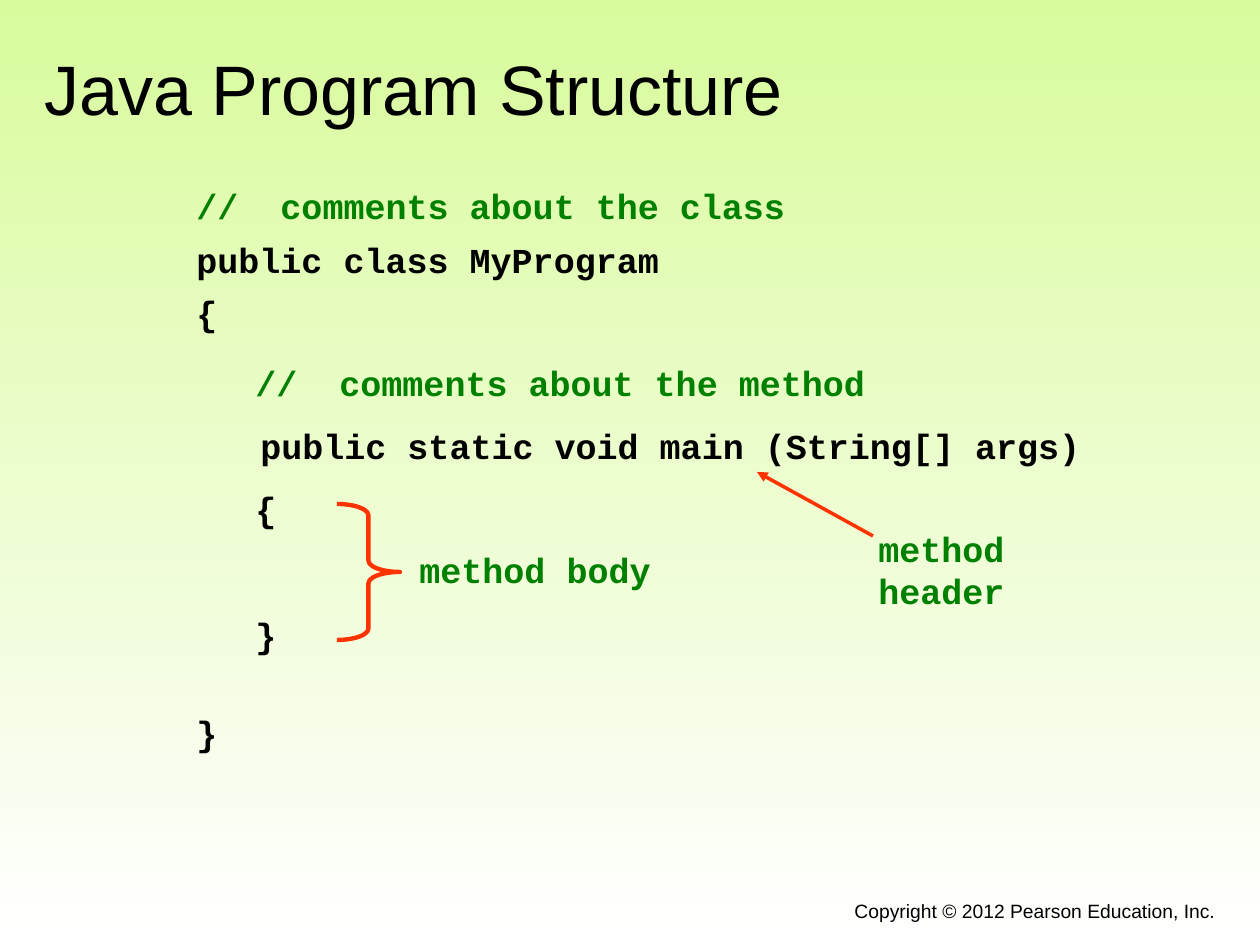
from dataclasses import dataclass

from lxml.etree import SubElement
from pptx import Presentation
from pptx.dml.color import RGBColor
from pptx.enum.shapes import MSO_CONNECTOR, MSO_SHAPE
from pptx.enum.text import MSO_ANCHOR, PP_ALIGN
from pptx.oxml.ns import qn
from pptx.util import Emu, Pt

EMU_PER_PX = 914400 // 126


def px(length: int) -> Emu:
    return Emu(length * EMU_PER_PX)


@dataclass(frozen=True)
class Theme:
    background_top: str = "D9FB9D"
    background_bottom: str = "FFFFFF"
    ink: str = "000000"
    comment: str = "008000"
    marker: str = "FF3300"
    text_font: str = "Arial"
    code_font: str = "Courier New"
    title_size: int = 40
    code_size: int = 20
    footer_size: int = 11
    brace_width: float = 2.5
    arrow_width: float = 2


THEME = Theme()


@dataclass(frozen=True)
class CodeLine:
    text: str
    left: int
    top: int
    color: str = THEME.ink


CLASS_LEFT = 184
METHOD_LEFT = 243
CODE_HEIGHT = 55
CHARACTER_WIDTH = 21
CODE_PADDING = 38
CODE_LINES = (
    CodeLine("//  comments about the class", CLASS_LEFT, 178, THEME.comment),
    CodeLine("public class MyProgram", CLASS_LEFT, 232),
    CodeLine("{", CLASS_LEFT, 285),
    CodeLine("//  comments about the method", METHOD_LEFT, 355, THEME.comment),
    CodeLine("public static void main (String[] args)", 248, 418),
    CodeLine("{", METHOD_LEFT, 481),
    CodeLine("}", METHOD_LEFT, 607),
    CodeLine("}", CLASS_LEFT, 705),
    CodeLine("method body", 407, 542, THEME.comment),
)


def add_text(slide, text: str, left: int, top: int, width: int, height: int, *,
             font: str = THEME.code_font, size: int = THEME.code_size,
             color: str = THEME.ink, bold: bool = False,
             align=PP_ALIGN.LEFT, anchor=MSO_ANCHOR.TOP) -> None:
    shape = slide.shapes.add_textbox(px(left), px(top), px(width), px(height))
    frame = shape.text_frame
    frame.word_wrap = True
    frame.vertical_anchor = anchor
    paragraph = frame.paragraphs[0]
    paragraph.alignment = align
    run = paragraph.add_run()
    run.text = text
    run.font.name = font
    run.font.size = Pt(size)
    run.font.bold = bold
    run.font.color.rgb = RGBColor.from_string(color)


def add_code(slide, line: CodeLine) -> None:
    width = len(line.text) * CHARACTER_WIDTH + CODE_PADDING
    add_text(slide, line.text, line.left, line.top, width, CODE_HEIGHT,
             color=line.color, bold=True)


def add_brace(slide, left: int, top: int, width: int, height: int) -> None:
    brace = slide.shapes.add_shape(
        MSO_SHAPE.RIGHT_BRACE, px(left), px(top), px(width), px(height))
    brace.adjustments[0] = 0.18
    brace.shadow.inherit = False
    brace.fill.background()
    brace.line.color.rgb = RGBColor.from_string(THEME.marker)
    brace.line.width = Pt(THEME.brace_width)


def add_arrow(slide, start: tuple[int, int], end: tuple[int, int]) -> None:
    arrow = slide.shapes.add_connector(
        MSO_CONNECTOR.STRAIGHT, *map(px, start), *map(px, end))
    arrow.line.color.rgb = RGBColor.from_string(THEME.marker)
    arrow.line.width = Pt(THEME.arrow_width)
    line_element = arrow._element.spPr.find(qn("a:ln"))
    SubElement(line_element, qn("a:tailEnd"), type="triangle")
    SubElement(arrow._element.spPr, qn("a:effectLst"))


def paint_background(slide) -> None:
    fill = slide.background.fill
    fill.gradient()
    fill.gradient_angle = 270
    colors = (THEME.background_top, THEME.background_bottom)
    for stop, position, color in zip(fill.gradient_stops, (0, 1), colors):
        stop.position = position
        stop.color.rgb = RGBColor.from_string(color)


def main() -> None:
    presentation = Presentation()
    presentation.slide_width = px(1260)
    presentation.slide_height = px(945)
    slide = presentation.slides.add_slide(presentation.slide_layouts[6])
    paint_background(slide)
    add_text(slide, "Java Program Structure", 32, 39, 1197, 98,
             font=THEME.text_font, size=THEME.title_size, anchor=MSO_ANCHOR.MIDDLE)
    for line in CODE_LINES:
        add_code(slide, line)
    add_text(slide, "method header", 866, 521, 280, CODE_HEIGHT,
             color=THEME.comment, bold=True)
    add_brace(slide, 337, 504, 63, 136)
    add_arrow(slide, (873, 536), (757, 472))
    add_text(slide, "Copyright © 2012 Pearson Education, Inc.", 462, 893, 766, 43,
             font=THEME.text_font, size=THEME.footer_size, align=PP_ALIGN.RIGHT)
    presentation.save("out.pptx")


if __name__ == "__main__":
    main()
